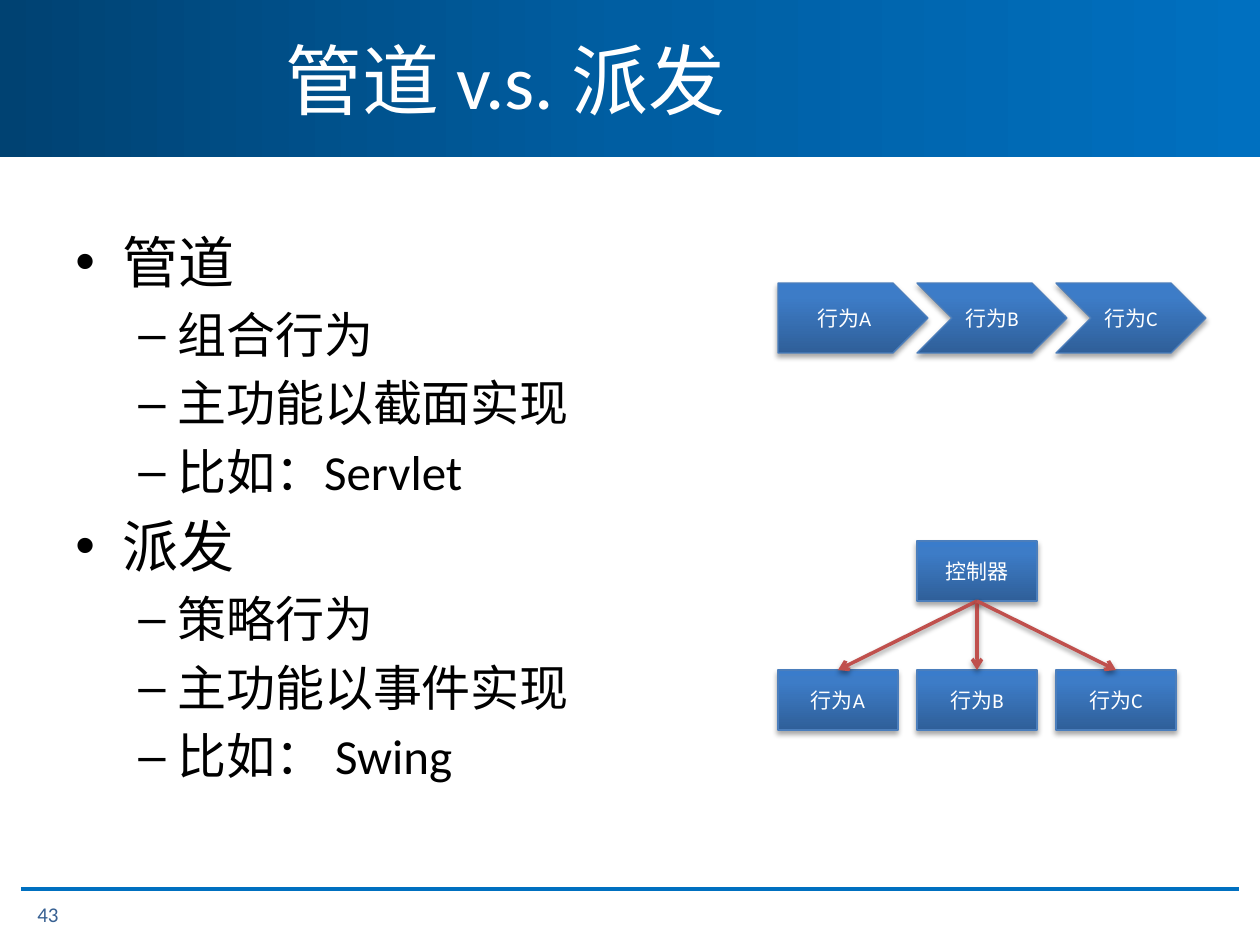
from pptx import Presentation, oxml, util as u
from pptx.dml.color import RGBColor
from pptx.enum import shapes as sh, text as tx
from pptx.oxml import ns

# Content
TITLE = "管道 v.s. 派发"
POINTS = [
    ("管道", ["组合行为", "主功能以截面实现", "比如：Servlet"]),
    ("派发", ["策略行为", "主功能以事件实现", "比如： Swing"]),
]
ACTS = ["行为A", "行为B", "行为C"]
HEAD, PAGE = "控制器", "43"

# Formats: size, bullet, left margin and hanging indent in pixels
LEVELS = [(32, "•", 47, 47), (28, "–", 102, 39)]
BAR = [(0, "004272"), (50, "005EA2"), (100, "0070C0")]
BOX = [(0, "2F5F99"), (80, "3D7CC7"), (100, "3A7CCB")]
WHITE, BLACK = "FFFFFF", "000000"
LEFT, STEP = 778, 139
ARROW_W, ARROW_H, BOX_W, BOX_H = 150, 70, 120, 60
ARROW_Y, HEAD_Y, ACT_Y = 283, 541, 670
MID = tx.MSO_ANCHOR.MIDDLE


def px(n):
    return u.Emu(round(n * 914400 / 126))


def rgb(code):
    return RGBColor.from_string(code)


def xml(body):
    tag, rest = body.split(" ", 1)
    return oxml.parse_xml(f'<a:{tag} {ns.nsdecls("a")} {rest}')


def setup(obj, vals):
    for key, val in vals.items():
        setattr(obj, key, val)


def write(par, words, size, color):
    run = par.add_run()
    run.text = words
    setup(run.font, {"name": "Calibri", "size": u.Pt(size)})
    run.font.color.rgb = rgb(color)


def blend(shape, stops, angle):
    items = "".join(f'<a:gs pos="{pos * 1000}"><a:srgbClr val="{code}"/></a:gs>'
                    for pos, code in stops)
    fill = xml(f'gradFill rotWithShape="1"><a:gsLst>{items}</a:gsLst>'
               f'<a:lin ang="{angle * 60000}" scaled="0"/></a:gradFill>')
    shape._element.spPr.find(ns.qn("a:prstGeom")).addnext(fill)


def shade(shape, alpha, dist):
    shape._element.spPr.append(xml(
        f'effectLst ><a:outerShdw blurRad="{u.Pt(3.1)}" dist="{u.Pt(dist)}" '
        f'dir="5400000" rotWithShape="0"><a:srgbClr val="{BLACK}">'
        f'<a:alpha val="{alpha * 1000}"/></a:srgbClr></a:outerShdw></a:effectLst>'))


def line(start, end, color, width):
    rule = slide.shapes.add_connector(
        sh.MSO_CONNECTOR.STRAIGHT, *map(px, (*start, *end)))
    rule.line.color.rgb = rgb(color)
    rule.line.width = u.Pt(width)
    return rule


def block(kind, x, y, w, h, words):
    shape = slide.shapes.add_shape(kind, *map(px, (x, y, w, h)))
    blend(shape, BOX, 270)
    shape.line.color.rgb = rgb("4B7EBC")
    shape.line.width = u.Pt(0.75)
    shade(shape, 35, 1.8)
    setup(shape.text_frame, {"word_wrap": True, "vertical_anchor": MID})
    par = shape.text_frame.paragraphs[0]
    par.alignment = tx.PP_ALIGN.CENTER
    write(par, words, 12, WHITE)


def label(x, y, w, h):
    frame = slide.shapes.add_textbox(*map(px, (x, y, w, h))).text_frame
    frame.word_wrap = True
    return frame


def bullet(par, level, words):
    size, mark, margin, hang = LEVELS[level]
    par.level = level
    props = par._p.get_or_add_pPr()
    props.set("marL", str(px(margin)))
    props.set("indent", str(px(-hang)))
    for part in ('spcBef ><a:spcPct val="20000"/></a:spcBef>',
                 'buFont typeface="Arial"/>', f'buChar char="{mark}"/>'):
        props.append(xml(part))
    write(par, words, size, BLACK)


deck = Presentation()
setup(deck, {"slide_width": px(1260), "slide_height": px(945)})
slide = deck.slides.add_slide(deck.slide_layouts[5])

# Title band, behind the title
band = slide.shapes.add_shape(sh.MSO_SHAPE.RECTANGLE, *map(px, (0, 0, 1260, 157)))
band.shadow.inherit = False
band.line.fill.background()
blend(band, BAR, 0)
slide.shapes._spTree.insert(2, band._element)

title = slide.shapes.title
setup(title, dict(zip(("left", "top", "width", "height"),
                      map(px, (273, 0, 987, 157)))))
setup(title.text_frame, {"word_wrap": True, "vertical_anchor": MID})
title.text_frame.paragraphs[0].alignment = tx.PP_ALIGN.LEFT
write(title.text_frame.paragraphs[0], TITLE, 44, WHITE)

# Footer rule and page number
rule = line((21, 889), (1239, 889), "0070C0", 2.25)
rule._element.spPr.append(xml("effectLst />"))
foot = label(25, 889, 139, 50)
foot.vertical_anchor = MID
write(foot.paragraphs[0], PAGE, 12, "376092")

# Bullet list
body = label(63, 221, 706, 624)
rows = [(lvl, words) for top, subs in POINTS
        for lvl, words in [(0, top)] + [(1, sub) for sub in subs]]
for i, (lvl, words) in enumerate(rows):
    bullet(body.add_paragraph() if i else body.paragraphs[0], lvl, words)

# Pipeline arrows above, dispatched boxes below
for i, act in enumerate(ACTS):
    kind = sh.MSO_SHAPE.CHEVRON if i else sh.MSO_SHAPE.PENTAGON
    block(kind, LEFT + i * STEP, ARROW_Y, ARROW_W, ARROW_H, act)
for i, act in enumerate(ACTS):
    block(sh.MSO_SHAPE.RECTANGLE, LEFT + i * STEP, ACT_Y, BOX_W, BOX_H, act)
block(sh.MSO_SHAPE.RECTANGLE, LEFT + STEP, HEAD_Y, BOX_W, BOX_H, HEAD)

# Controller links
mid = LEFT + BOX_W / 2
for i in range(len(ACTS)):
    link = line((mid + STEP, HEAD_Y + BOX_H), (mid + i * STEP, ACT_Y), "C0504D", 2)
    link.line._get_or_add_ln().append(xml('tailEnd type="arrow"/>'))
    shade(link, 38, 1.6)

deck.save("out.pptx")
